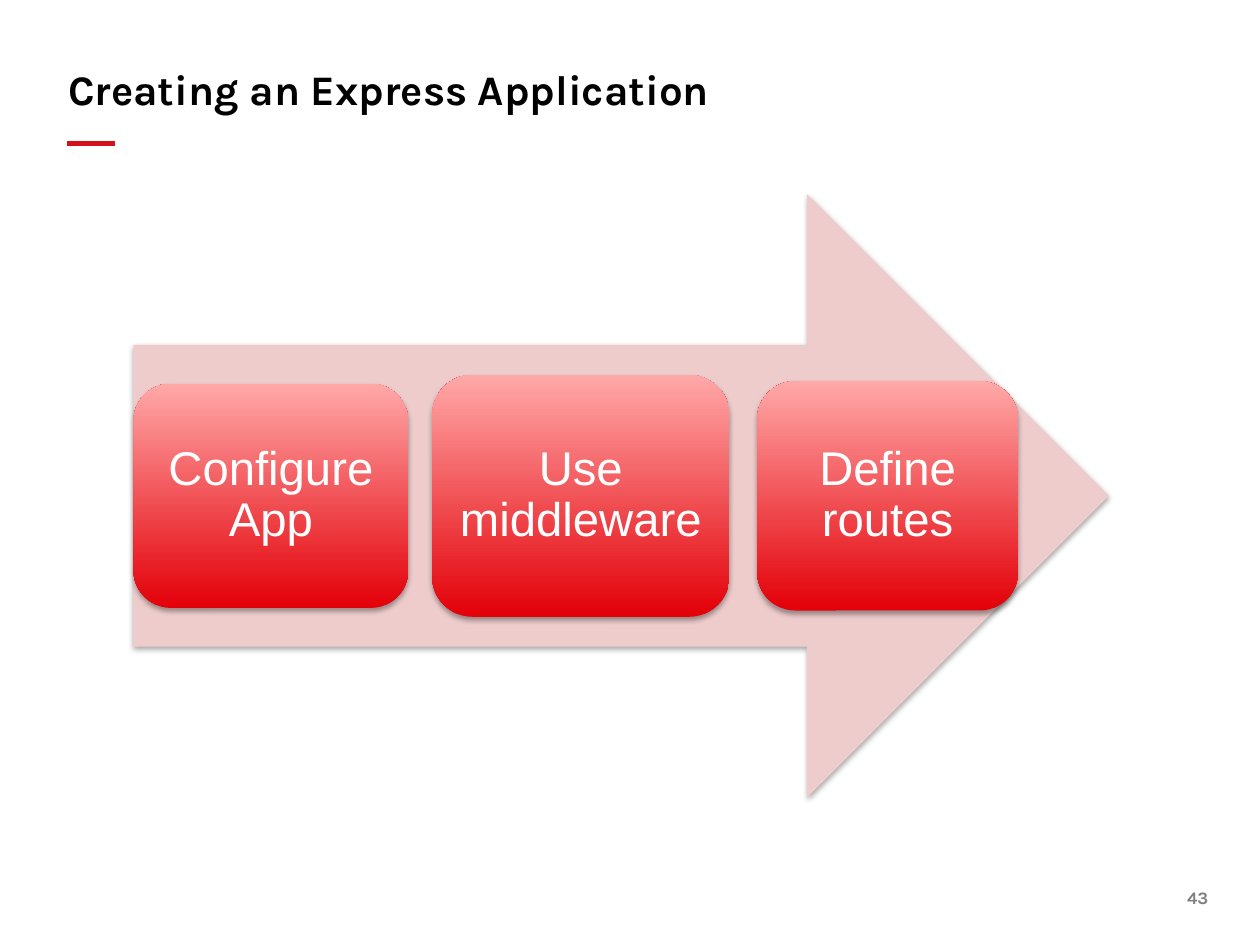
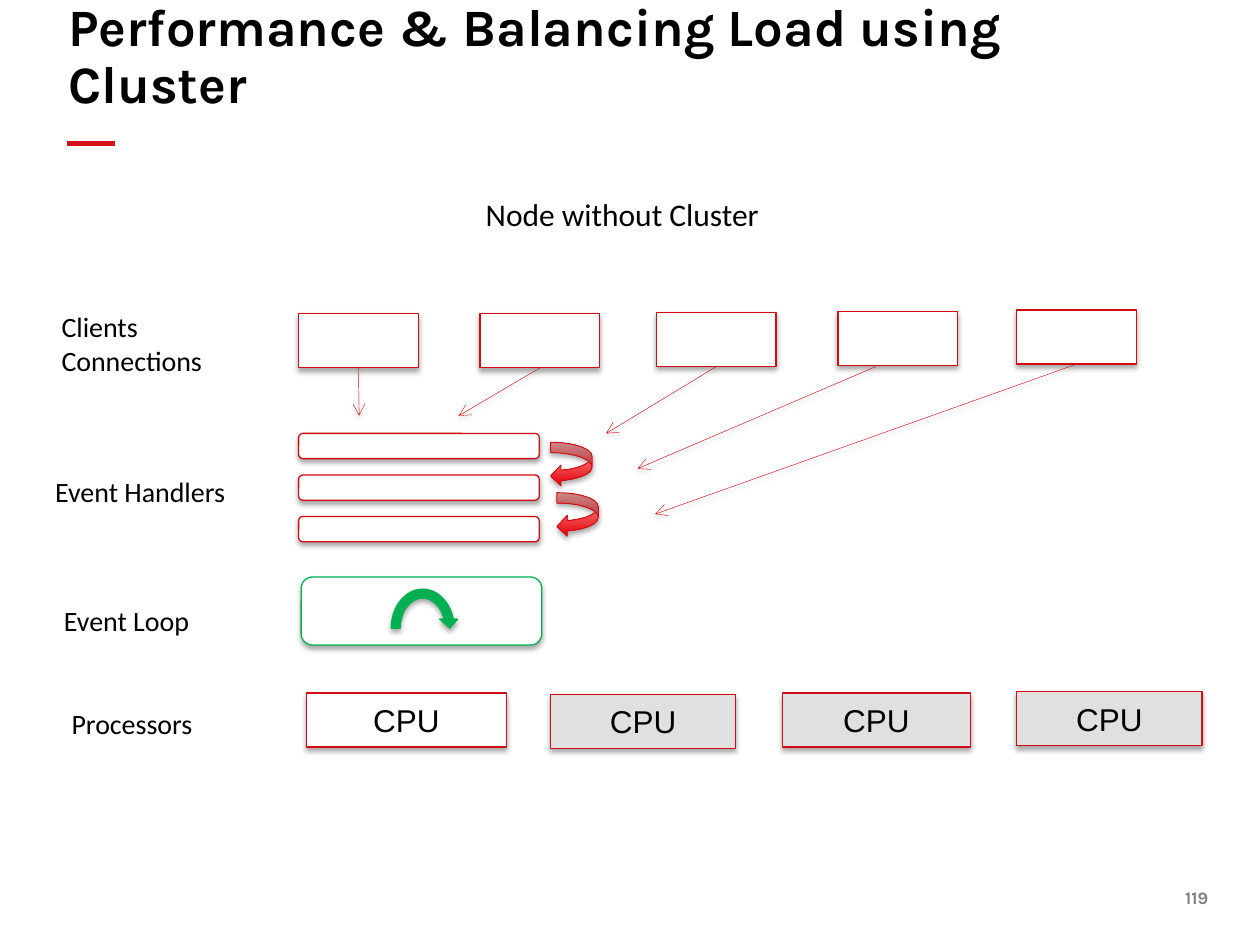
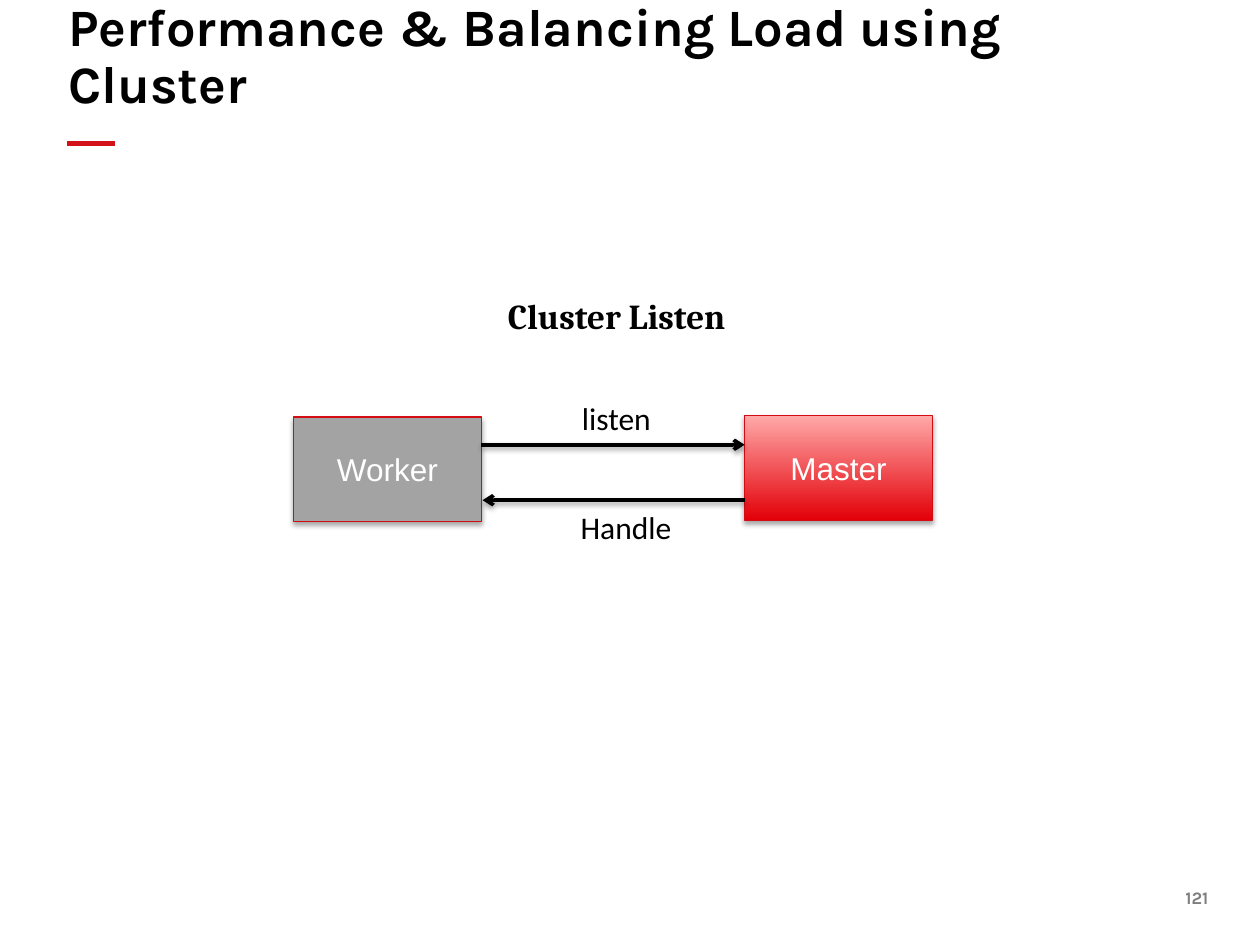
from pptx import Presentation
from pptx.dml.color import RGBColor
from pptx.enum.shapes import MSO_CONNECTOR, MSO_SHAPE
from pptx.enum.text import MSO_ANCHOR, MSO_AUTO_SIZE, PP_ALIGN
from pptx.oxml import parse_xml
from pptx.oxml.ns import nsdecls
from pptx.util import Inches, Pt

STRAIGHT = MSO_CONNECTOR.STRAIGHT
RECT, ROUND = MSO_SHAPE.RECTANGLE, MSO_SHAPE.ROUNDED_RECTANGLE
PROCESS = MSO_SHAPE.FLOWCHART_ALTERNATE_PROCESS
BIG_ARROW, LOOP_ARROW = MSO_SHAPE.RIGHT_ARROW, MSO_SHAPE.CIRCULAR_ARROW
CURVED_ARROW = MSO_SHAPE.CURVED_LEFT_ARROW
LEFT, CENTER, RIGHT = PP_ALIGN.LEFT, PP_ALIGN.CENTER, PP_ALIGN.RIGHT
TOP, MIDDLE, BOTTOM = MSO_ANCHOR.TOP, MSO_ANCHOR.MIDDLE, MSO_ANCHOR.BOTTOM
TITLE_ONLY, TITLE_AND_BODY = 5, 1
BOTTOM_SITE = 2

COLORS = {
    "black": "000000", "white": "FFFFFF", "number": "7F7F7F",
    "accent": "D21118", "outline": "D20C13", "pale": "EECCCC",
    "deep": "E30008", "light": "FFA8A8", "green": "00B050",
    "idle": "E0E0E0", "worker": "A3A3A3",
}
GRADIENT = ("deep", "light")

# Slide 1: text, left, width, height; all centred on the arrow's axis
STEPS = [
    ("Configure App", 1.06, 2.18, 1.78),
    ("Use middleware", 3.43, 2.36, 1.92),
    ("Define routes", 6.01, 2.07, 1.82),
]
BIG_ARROW_BOX = (1.06, 1.54, 7.74, 4.79)

# Slide 2
CLUSTER_TITLE = "Performance & Balancing Load using Cluster"
CLIENT_SIZE = (0.95, 0.43)
CLIENTS = [  # left, top, arrow start (None: bottom middle), arrow tip
    (2.37, 2.49, None, (2.85, 3.3)),
    (3.81, 2.49, None, (3.64, 3.3)),
    (5.21, 2.48, None, (4.81, 3.44)),
    (6.65, 2.47, (6.95, 2.91), (5.06, 3.72)),
    (8.07, 2.46, None, (5.2, 4.08)),
]
HANDLER_LEFT, HANDLER_TOP, HANDLER_STEP, HANDLER_COUNT = 2.37, 3.44, 0.33, 3
TURNS = [(4.37, 3.51), (4.42, 3.91)]
CPUS = [  # left, top, width, fill
    (2.43, 5.5, 1.59, "white"),
    (4.37, 5.51, 1.47, "idle"),
    (6.21, 5.5, 1.49, "idle"),
    (8.07, 5.49, 1.47, "idle"),
]
ROW_LABELS = [
    ("Clients Connections", 0.39, 2.41, 0.64),
    ("Event Handlers", 0.34, 3.72, 0.37),
    ("Event Loop", 0.41, 4.74, 0.37),
    ("Processors", 0.47, 5.56, 0.37),
]

# Slide 3
ROLES = [("Worker", 2.33, 3.31, "worker"), ("Master", 5.91, 3.3, GRADIENT)]
MESSAGES = [((3.82, 3.53), (5.91, 3.53)), ((5.91, 3.97), (3.83, 3.97))]
MESSAGE_LABELS = [("listen", (4.52, 3.12, 0.81, 0.4)),
                  ("Handle", (4.51, 3.98, 1.07, 0.4))]


def rgb(name):
    return RGBColor.from_string(COLORS[name])


def add_shadow(shape, alpha=35, dist=1.8):
    shape._element.spPr.append(parse_xml(
        f'<a:effectLst {nsdecls("a")}><a:outerShdw blurRad="{Pt(3.1)}" '
        f'dist="{Pt(dist)}" dir="5400000" rotWithShape="0">'
        f'<a:srgbClr val="{COLORS["black"]}"><a:alpha val="{alpha * 1000}"/>'
        '</a:srgbClr></a:outerShdw></a:effectLst>'))


def write(shape, text, size, font, color="black", bold=False, align=LEFT,
          anchor=TOP, inset=None, spacing=None):
    tf = shape.text_frame
    tf.word_wrap = True
    tf.auto_size = MSO_AUTO_SIZE.NONE
    tf.vertical_anchor = anchor
    if inset is not None:
        tf.margin_left = tf.margin_right = Inches(inset)
        tf.margin_top = tf.margin_bottom = Inches(inset)
    p = tf.paragraphs[0]
    p.alignment = align
    p.space_before = Pt(0)
    if spacing:
        p.line_spacing = spacing
    r = p.add_run()
    r.text = text
    r.font.name, r.font.size, r.font.bold = font, Pt(size), bold
    r.font.color.rgb = rgb(color)
    return p


def add_label(slide, text, box, size, font="Calibri", **style):
    sp = slide.shapes.add_textbox(*map(Inches, box))
    write(sp, text, size, font, **style)


def add_box(slide, kind, box, fill, line="outline", width=0.75):
    """Add a shadowed shape; a pair of colour names as fill runs bottom to top."""
    sp = slide.shapes.add_shape(kind, *map(Inches, box))
    if isinstance(fill, tuple):
        sp.fill.gradient()
        sp.fill.gradient_angle = 90
        for stop, name in zip(sp.fill.gradient_stops, fill):
            stop.color.rgb = rgb(name)
    else:
        sp.fill.solid()
        sp.fill.fore_color.rgb = rgb(fill)
    if line:
        sp.line.color.rgb = rgb(line)
        sp.line.width = Pt(width)
    else:
        sp.line.fill.background()
    add_shadow(sp)
    return sp


def add_line(slide, start, end, color, width, arrow=True):
    line = slide.shapes.add_connector(STRAIGHT, *map(Inches, start + end))
    line.line.color.rgb = rgb(color)
    line.line.width = Pt(width)
    if arrow:
        line.line._get_or_add_ln().append(
            parse_xml(f'<a:tailEnd {nsdecls("a")} type="arrow"/>'))
        add_shadow(line, 38, 1.6)
    else:
        line._element.spPr.append(parse_xml(f'<a:effectLst {nsdecls("a")}/>'))
    return line


def place(shape, box):
    shape.left, shape.top, shape.width, shape.height = map(Inches, box)


def new_slide(prs, title, number, size=30, layout=TITLE_ONLY):
    slide = prs.slides.add_slide(prs.slide_layouts[layout])
    add_label(slide, number, (9.25, 7.04, 0.34, 0.17), 10, "Karla",
              color="number", bold=True, align=RIGHT, inset=0)
    add_line(slide, (0.53, 1.14), (0.91, 1.14), "accent", 2.75, arrow=False)
    place(slide.shapes.title, (0.54, 0.45, 8.93, 0.46))
    write(slide.shapes.title, title, size, "Karla", bold=True, anchor=BOTTOM,
          inset=0, spacing=0.9)
    return slide


def build_steps(prs):
    slide = new_slide(prs, "Creating an Express Application", "43", size=24)
    add_box(slide, BIG_ARROW, BIG_ARROW_BOX, "pale", line=None)
    axis = BIG_ARROW_BOX[1] + BIG_ARROW_BOX[3] / 2
    for text, left, width, height in STEPS:
        sp = add_box(slide, ROUND, (left, axis - height / 2, width, height),
                     GRADIENT, line=None)
        write(sp, text, 27, "Arial", "white", align=CENTER, anchor=MIDDLE,
              inset=0.11, spacing=0.9)


def build_without_cluster(prs):
    slide = new_slide(prs, CLUSTER_TITLE, "119")
    add_label(slide, "Node without Cluster", (0.69, 1.5, 8.5, 0.4), 18,
              align=CENTER)
    for left, top, start, tip in CLIENTS:
        client = add_box(slide, RECT, (left, top, *CLIENT_SIZE), "white")
        line = add_line(slide, start or (left, top), tip, "accent", 0.25)
        if start is None:
            line.begin_connect(client, BOTTOM_SITE)
    for i in range(HANDLER_COUNT):
        top = HANDLER_TOP + i * HANDLER_STEP
        add_box(slide, PROCESS, (HANDLER_LEFT, top, 1.91, 0.2), "white")
    for left, top in TURNS:
        add_box(slide, CURVED_ARROW, (left, top, 0.33, 0.35), GRADIENT,
                width=0.5)
    add_box(slide, PROCESS, (2.39, 4.58, 1.91, 0.54), "white", "green")
    add_box(slide, LOOP_ARROW, (3.07, 4.64, 0.57, 0.69), "green", "green")
    for left, top, width, fill in CPUS:
        sp = add_box(slide, RECT, (left, top, width, 0.43), fill)
        write(sp, "CPU", 18, "Arial", align=CENTER, anchor=MIDDLE)
    for text, left, top, height in ROW_LABELS:
        add_label(slide, text, (left, top, 1.77, height), 16)


def build_listen(prs):
    slide = new_slide(prs, CLUSTER_TITLE, "121", layout=TITLE_AND_BODY)
    body = slide.placeholders[1]
    place(body, (0.53, 2.34, 8.93, 4.47))
    p = write(body, "Cluster Listen", 20, "Cambria", bold=True, inset=0)
    pPr = p._p.get_or_add_pPr()
    pPr.set("marL", str(Inches(3.5)))
    pPr.set("indent", "0")
    pPr.append(parse_xml(f'<a:buNone {nsdecls("a")}/>'))
    for text, left, top, fill in ROLES:
        sp = add_box(slide, RECT, (left, top, 1.49, 0.83), fill)
        write(sp, text, 18, "Arial", "white", align=CENTER, anchor=MIDDLE)
    for start, end in MESSAGES:
        add_line(slide, start, end, "black", 2)
    for text, box in MESSAGE_LABELS:
        add_label(slide, text, box, 18)


def main():
    prs = Presentation()
    prs.slide_width, prs.slide_height = Inches(10), Inches(7.5)
    build_steps(prs)
    build_without_cluster(prs)
    build_listen(prs)
    prs.save("out.pptx")


if __name__ == "__main__":
    main()
